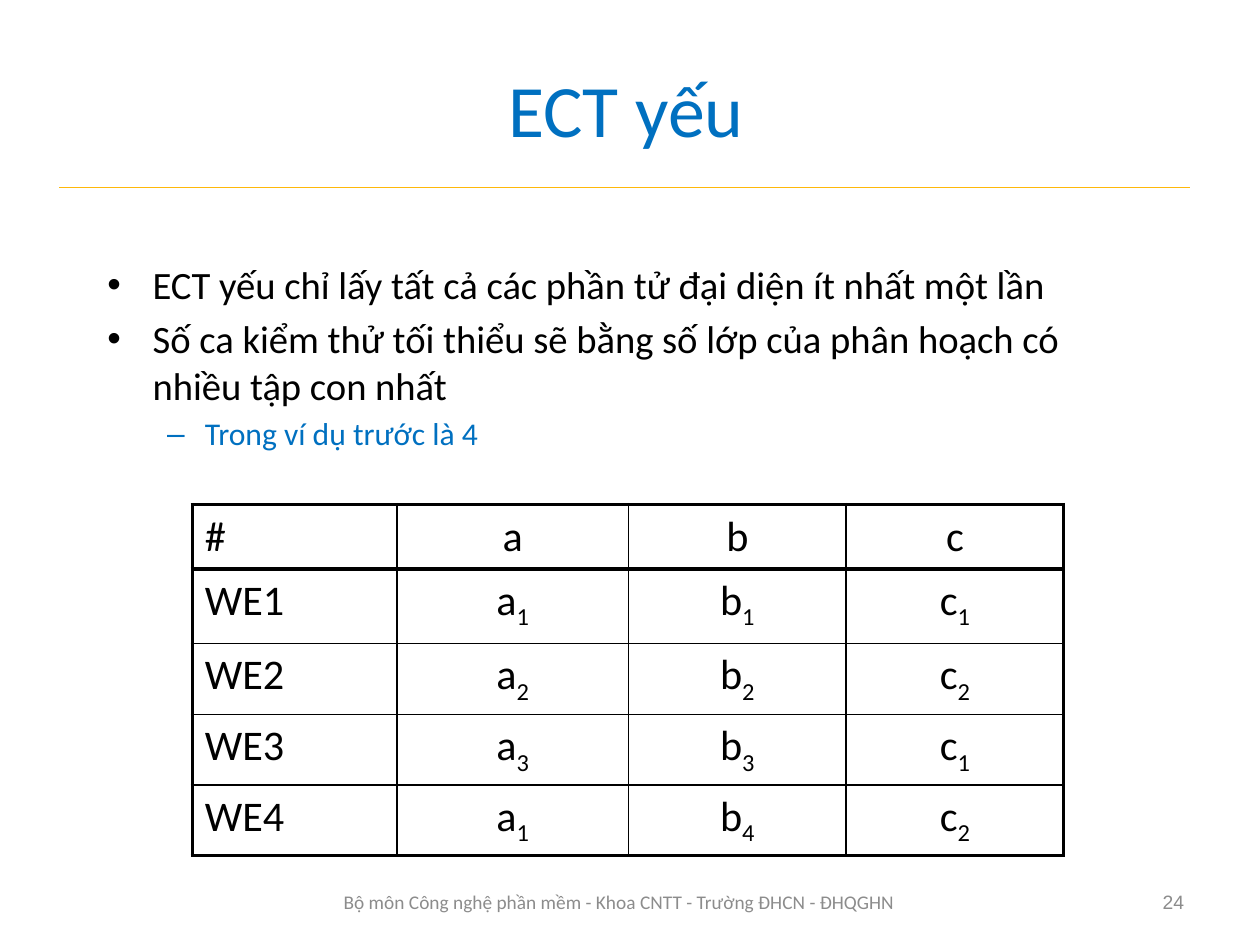
from dataclasses import dataclass

from lxml.etree import SubElement
from pptx import Presentation
from pptx.dml.color import RGBColor
from pptx.enum.shapes import MSO_CONNECTOR
from pptx.enum.text import MSO_ANCHOR, MSO_AUTO_SIZE, PP_ALIGN
from pptx.oxml.ns import qn
from pptx.util import Cm, Pt


@dataclass(frozen=True)
class Theme:
    """Colours, fonts and type sizes of the slide."""
    ink: str = "000000"
    blue: str = "0070C0"
    gold: str = "FEB80A"
    grey: str = "8C8C8C"
    face: str = "Calibri"
    digit: str = "Arial"
    head: float = 42
    item: float = 22
    sub: float = 18
    cell: float = 24
    foot: float = 11
    thick: float = 2.25
    thin: float = 1


class Deck:
    """Holds the theme and the current slide, and draws on it."""

    def __init__(self, theme, width, height):
        """Open a deck with one title and content slide."""
        self.theme = theme
        self.show = Presentation()
        self.show.slide_width, self.show.slide_height = Cm(width), Cm(height)
        self.slide = self.show.slides.add_slide(self.show.slide_layouts[1])

    def place(self, shape, box):
        """Move a shape to a box of left, top, width, height."""
        shape.left, shape.top, shape.width, shape.height = map(Cm, box)

    def style(self, para, size, color, align=PP_ALIGN.LEFT, face=None):
        """Format a whole paragraph."""
        para.alignment = align
        para.font.size = Pt(size)
        para.font.name = face or self.theme.face
        para.font.color.rgb = RGBColor.from_string(color)

    def title(self, text, box):
        """Fill the title placeholder."""
        shape = self.slide.shapes.title
        self.place(shape, box)
        frame = shape.text_frame
        frame.text = text
        frame.auto_size = MSO_AUTO_SIZE.NONE
        frame.vertical_anchor = MSO_ANCHOR.MIDDLE
        self.style(frame.paragraphs[0], self.theme.head, self.theme.blue, PP_ALIGN.CENTER)

    def bullets(self, items, box):
        """Fill the body placeholder with (level, text) items."""
        theme = self.theme
        looks = [(theme.item, theme.ink, 0.91, 0.91), (theme.sub, theme.blue, 1.96, 0.76)]
        shape = self.slide.placeholders[1]
        self.place(shape, box)
        frame = shape.text_frame
        frame.text = "\n".join(text for _, text in items)
        frame.auto_size = MSO_AUTO_SIZE.NONE
        for para, (level, _) in zip(frame.paragraphs, items):
            size, color, left, hang = looks[level]
            para.level = level
            para.space_before = Pt(size * 0.2)
            self.style(para, size, color)
            props = para._p.get_or_add_pPr()
            props.set("marL", str(Cm(left)))
            props.set("indent", str(-Cm(hang)))

    def rule(self, left, right, top):
        """Draw a level line."""
        line = self.slide.shapes.add_connector(
            MSO_CONNECTOR.STRAIGHT, Cm(left), Cm(top), Cm(right), Cm(top))
        line.line.color.rgb = RGBColor.from_string(self.theme.gold)
        line.line.width = Pt(0.75)
        SubElement(line._element.spPr, qn("a:effectLst"))

    def note(self, text, box, align, face=None):
        """Add a small grey line of footer text."""
        frame = self.slide.shapes.add_textbox(*map(Cm, box)).text_frame
        frame.word_wrap = True
        frame.vertical_anchor = MSO_ANCHOR.MIDDLE
        frame.text = text
        self.style(frame.paragraphs[0], self.theme.foot, self.theme.grey, align, face)

    def border(self, cell, sides):
        """Set the border widths of a cell by side."""
        props = cell._tc.get_or_add_tcPr()
        for side, width in sides.items():
            line = SubElement(props, qn(f"a:ln{side}"), w=str(Pt(width)))
            fill = SubElement(line, qn("a:solidFill"))
            SubElement(fill, qn("a:srgbClr"), val=self.theme.ink)

    def table(self, rows, left, top, widths, heights):
        """Add a ruled table; a tuple holds a letter and its subscript."""
        theme = self.theme
        grid = self.slide.shapes.add_table(
            len(rows), len(widths), Cm(left), Cm(top),
            Cm(sum(widths)), Cm(sum(heights))).table
        grid.first_row = grid.horz_banding = False
        for col, width in zip(grid.columns, widths):
            col.width = Cm(width)
        for row, height in zip(grid.rows, heights):
            row.height = Cm(height)
        end, last = len(rows) - 1, len(widths) - 1
        for r, row in enumerate(rows):
            for c, value in enumerate(row):
                cell = grid.cell(r, c)
                bold = {"L": c == 0, "R": c == last, "T": r < 2, "B": r in (0, end)}
                self.border(cell, {side: theme.thick if on else theme.thin
                                   for side, on in bold.items()})
                cell.fill.background()
                para = cell.text_frame.paragraphs[0]
                self.style(para, theme.cell, theme.ink,
                           PP_ALIGN.CENTER if c else PP_ALIGN.LEFT)
                base, *index = value
                para.add_run().text = base
                for sub in index:
                    run = para.add_run()
                    run.text = sub
                    run._r.get_or_add_rPr().set("baseline", "-25000")


def main():
    """Build the slide and save it."""
    deck = Deck(Theme(), 25.3, 18.97)
    deck.rule(1.19, 23.9, 3.76)
    deck.title("ECT yếu", (1.19, 0.58, 22.76, 3.18))
    deck.bullets([
        (0, "ECT yếu chỉ lấy tất cả các phần tử đại diện ít nhất một lần"),
        (0, "Số ca kiểm thử tối thiểu sẽ bằng số lớp của phân hoạch có nhiều tập con nhất"),
        (1, "Trong ví dụ trước là 4"),
    ], (1.9, 5.11, 21.49, 11.38))
    cases = ["111", "222", "331", "142"]
    rows = [[("#",), *"abc"]]
    rows += [[(f"WE{n}",), *zip("abc", case)] for n, case in enumerate(cases, 1)]
    deck.table(rows, 3.86, 10.13, [4.11, 4.65, 4.37, 4.37], [1.28, 1.5] + [1.42] * 3)
    deck.note("24", (18.14, 17.6, 5.89, 1.02), PP_ALIGN.RIGHT, deck.theme.digit)
    deck.note("Bộ môn Công nghệ phần mềm - Khoa CNTT - Trường ĐHCN - ĐHQGHN",
              (6.3, 17.6, 12.27, 1.02), PP_ALIGN.CENTER)
    deck.show.save("out.pptx")


if __name__ == "__main__":
    main()
